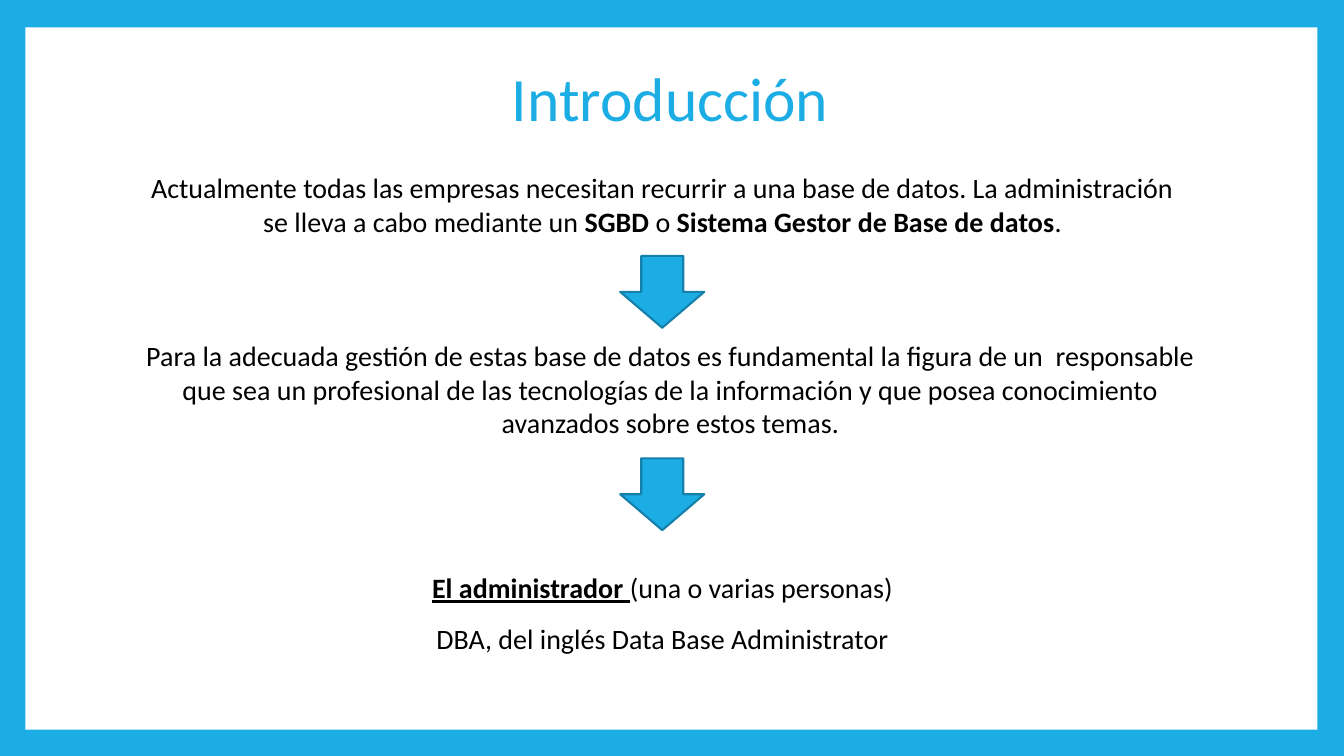
from pptx import Presentation
from pptx.dml.color import RGBColor
from pptx.enum.shapes import MSO_SHAPE as Shape
from pptx.enum.text import MSO_ANCHOR as Anchor, PP_ALIGN as Align
from pptx.util import Cm, Pt

SKY_BLUE = RGBColor(0x1C, 0xAD, 0xE4)
DARK_BLUE = RGBColor(0x15, 0x80, 0xA9)
WHITE = RGBColor(0xFF, 0xFF, 0xFF)
BLACK = RGBColor(0x00, 0x00, 0x00)

LEFT = 3.18
WIDE, NARROW = 27.43, 27.03

presentation = Presentation()
presentation.slide_width = Cm(33.87)
presentation.slide_height = Cm(19.05)
slide = presentation.slides.add_slide(presentation.slide_layouts[6])
slide.background.fill.solid()
slide.background.fill.fore_color.rgb = SKY_BLUE


def add_filled_shape(kind, left, top, width, height, color):
    shape = slide.shapes.add_shape(kind, Cm(left), Cm(top), Cm(width), Cm(height))
    shape.shadow.inherit = False
    shape.fill.solid()
    shape.fill.fore_color.rgb = color
    return shape


def add_centered_text(top, width, height, runs, size=20, color=BLACK):
    """Add one centred paragraph; each run is (text, style), style using "b" and "u"."""
    box = slide.shapes.add_textbox(Cm(LEFT), Cm(top), Cm(width), Cm(height))
    box.text_frame.word_wrap = True
    paragraph = box.text_frame.paragraphs[0]
    paragraph.alignment = Align.CENTER
    for text, style in runs:
        run = paragraph.add_run()
        run.text = text
        run.font.name = "Calibri"
        run.font.size = Pt(size)
        run.font.color.rgb = color
        run.font.bold = "b" in style
        run.font.underline = "u" in style
    return box


panel = add_filled_shape(Shape.RECTANGLE, 0.64, 0.69, 32.56, 17.7, WHITE)
panel.line.fill.background()

title = add_centered_text(0.69, WIDE, 3.76, [("Introducción", "")], 44, SKY_BLUE)
title.text_frame.vertical_anchor = Anchor.MIDDLE
title.text_frame.paragraphs[0].line_spacing = 0.9

statements = [
    (4.17, NARROW, 1.96, [
        ("Actualmente todas las empresas necesitan recurrir a una base de datos. "
         "La administración se lleva a cabo mediante un ", ""),
        ("SGBD", "b"),
        (" o ", ""),
        ("Sistema Gestor de Base de datos", "b"),
        (".", ""),
    ]),
    (8.41, WIDE, 2.82, [
        ("Para la adecuada gestión de estas base de datos es fundamental la figura de un  "
         "responsable que sea un profesional de las tecnologías de la información y que "
         "posea conocimiento avanzados sobre estos temas.", ""),
    ]),
    (14.25, NARROW, 1.11, [
        ("El administrador ", "bu"),
        ("(una o varias personas)", ""),
    ]),
    (15.54, NARROW, 1.11, [("DBA, del inglés Data Base Administrator", "")]),
]
for top, width, height, runs in statements:
    statement = add_centered_text(top, width, height, runs)
    statement.text_frame.paragraphs[0].space_after = Pt(24)

for arrow_top in (6.45, 11.55):
    arrow = add_filled_shape(Shape.DOWN_ARROW, 15.63, arrow_top, 2.12, 1.81, SKY_BLUE)
    arrow.line.color.rgb = DARK_BLUE
    arrow.line.width = Pt(1.5)

presentation.save("out.pptx")
